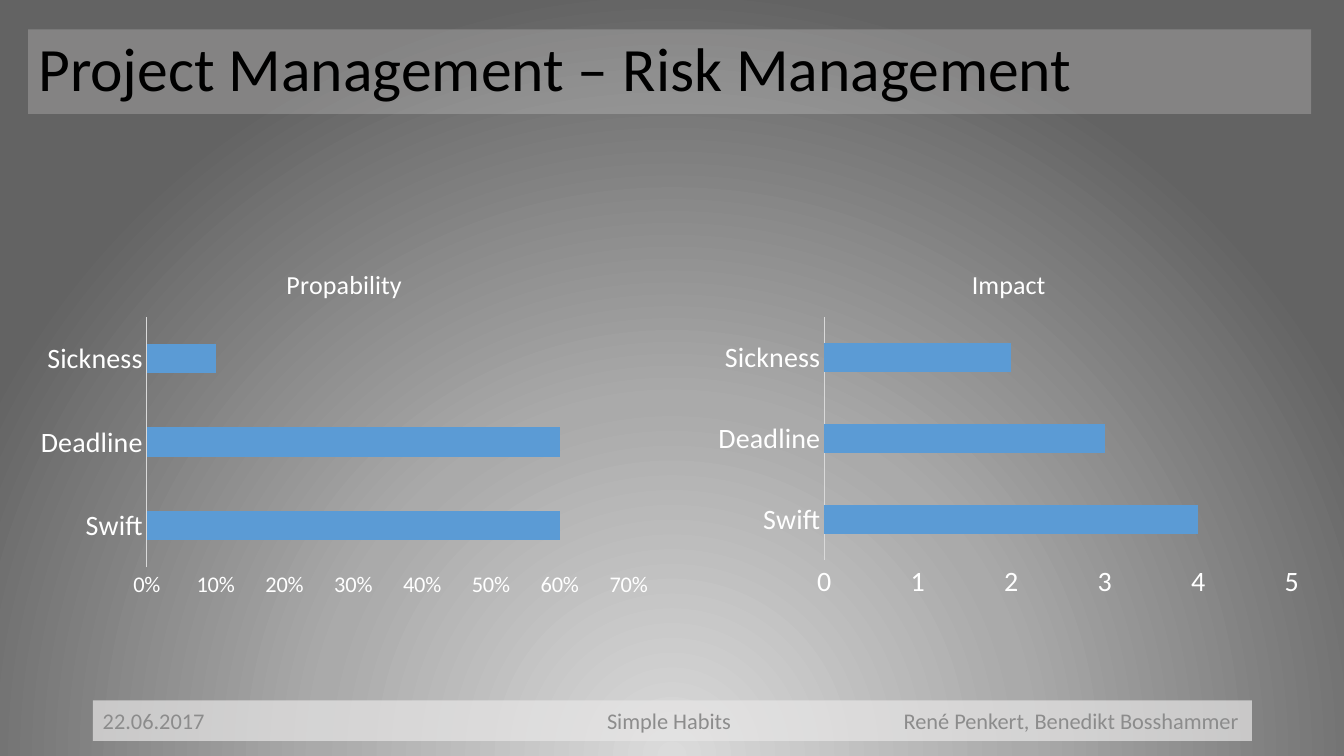
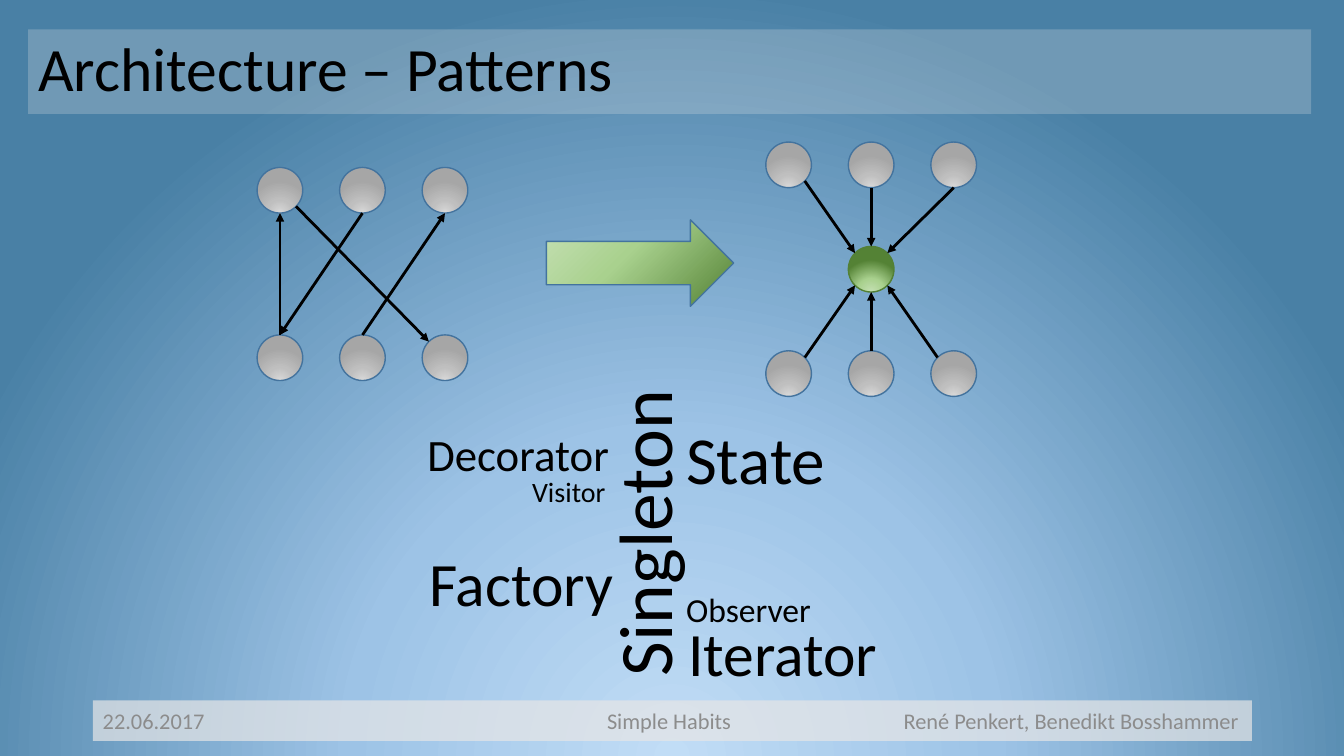
from dataclasses import dataclass
from math import cos, radians, sin

from lxml.etree import SubElement
from pptx import Presentation
from pptx.chart.data import CategoryChartData
from pptx.dml.color import RGBColor
from pptx.enum.chart import XL_CHART_TYPE as ChartType, XL_TICK_MARK as Tick
from pptx.enum.shapes import MSO_CONNECTOR as Connector, MSO_SHAPE as Shape
from pptx.enum.text import MSO_ANCHOR as Anchor, PP_ALIGN as Align
from pptx.oxml import parse_xml
from pptx.oxml.ns import nsdecls, qn
from pptx.util import Cm, Pt


@dataclass(frozen=True)
class Theme:
    font: str = "Calibri"
    ink: str = "000000"
    light: str = "FFFFFF"
    muted: str = "8C8C8C"
    band: str = "E7E6E6"
    bar: str = "5B9BD5"
    axis: str = "D9D9D9"
    outline: str = "43739E"
    hub_outline: str = "538035"
    grey_bg: tuple = ((0, "DBDBDB"), (46, "AAAAAA"), (100, "636363"))
    blue_bg: tuple = ((0, "C1DDF6"), (42, "9DC3E6"), (100, "4980A5"))
    node: tuple = ((0, "D9D9D9"), (42, "BFBFBF"), (100, "A6A6A6"))
    green: tuple = ((0, "C5E0B4"), (42, "A9D18E"), (100, "548235"))
    title_size: float = 44
    footer_size: float = 16
    chart_title_size: float = 18.6
    label_size: float = 20
    small_label_size: float = 16


@dataclass(frozen=True)
class Box:
    """A rectangle in centimetres."""
    x: float
    y: float
    w: float
    h: float

    def emu(self):
        return Cm(self.x), Cm(self.y), Cm(self.w), Cm(self.h)

    def inner(self, dx, dy, w, h):
        return Box(self.x + dx, self.y + dy, w, h)


THEME = Theme()
TITLE = Box(0.71, 0.74, 32.33, 2.13)
FOOTER = Box(2.34, 17.65, 29.21, 1.02)
NODE, PITCH = 1.15, 2.08


def rgb(color):
    return RGBColor.from_string(color)


def style_font(font, size, color):
    font.name, font.size = THEME.font, Pt(size)
    font.color.rgb = rgb(color)


def set_gradient(element, fill, stops, angle=None):
    """Fill linearly at an angle, or in circles from below when none is given."""
    fill.gradient()
    gs = "".join(f'<a:gs pos="{pos * 1000}"><a:srgbClr val="{color}"/></a:gs>'
                 for pos, color in stops)
    if angle is None:
        kind = ('<a:path path="circle"><a:fillToRect l="50000" t="130000" '
                'r="50000" b="-30000"/></a:path>')
    else:
        kind = f'<a:lin ang="{angle * 60000}" scaled="0"/>'
    old = next(element.iter(qn("a:gradFill")))
    old.getparent().replace(old, parse_xml(
        f'<a:gradFill {nsdecls("a")} rotWithShape="1"><a:gsLst>{gs}</a:gsLst>{kind}</a:gradFill>'))


def set_band(s, opacity):
    s.fill.solid()
    s.fill.fore_color.rgb = rgb(THEME.band)
    clr = next(s.element.spPr.iter(qn("a:srgbClr")))
    SubElement(clr, qn("a:alpha"), val=str(opacity * 1000))
    s.line.fill.background()


def add_footer(slide, layout, box):
    """Draw the footer band and move it to the layout, for all slides."""
    s = slide.shapes.add_shape(Shape.RECTANGLE, *box.emu())
    s.shadow.inherit = False
    set_band(s, 70)
    tf = s.text_frame
    tf.vertical_anchor = Anchor.MIDDLE
    p = tf.paragraphs[0]
    p.text = "22.06.2017\tSimple Habits\tRené Penkert, Benedikt Bosshammer"
    p.alignment = Align.LEFT
    tabs = SubElement(p._p.get_or_add_pPr(), qn("a:tabLst"))
    for pos, align in ((14.27, "ctr"), (28.63, "r")):
        SubElement(tabs, qn("a:tab"), pos=str(Cm(pos)), algn=align)
    style_font(p.runs[0].font, THEME.footer_size, THEME.muted)
    layout.shapes.element.append(s.element)


def add_slide(prs, layout, title, stops):
    slide = prs.slides.add_slide(layout)
    set_gradient(slide.element, slide.background.fill, stops)
    s = slide.shapes.title
    s.left, s.top, s.width, s.height = TITLE.emu()
    set_band(s, 25)
    tf = s.text_frame
    tf.text = title
    tf.vertical_anchor = Anchor.MIDDLE
    p = tf.paragraphs[0]
    p.alignment, p.line_spacing = Align.LEFT, 0.9
    style_font(p.runs[0].font, THEME.title_size, THEME.ink)
    return slide


def add_risk_chart(slide, box, title, series, values, number_format, top, step, size):
    data = CategoryChartData(number_format=number_format)
    data.categories = ["Swift", "Deadline", "Sickness"]
    data.add_series(series, values)
    chart = slide.shapes.add_chart(ChartType.BAR_CLUSTERED, *box.emu(), data).chart
    style_font(chart.font, 10, THEME.light)
    chart.has_legend = False
    chart.has_title = True
    tf = chart.chart_title.text_frame
    tf.text = title
    font = tf.paragraphs[0].runs[0].font
    style_font(font, THEME.chart_title_size, THEME.light)
    font.bold = False
    chart.chart_title.include_in_layout = False

    plot = chart.plots[0]
    plot.gap_width, plot.vary_by_categories = 182, False
    fill = plot.series[0].format.fill
    fill.solid()
    fill.fore_color.rgb = rgb(THEME.bar)

    cats, vals = chart.category_axis, chart.value_axis
    for axis, label_size in ((cats, THEME.label_size), (vals, size)):
        axis.has_major_gridlines = False
        axis.major_tick_mark = axis.minor_tick_mark = Tick.NONE
        style_font(axis.tick_labels.font, label_size, THEME.light)
    cats.format.line.color.rgb = rgb(THEME.axis)
    cats.format.line.width = Pt(0.75)
    vals.format.line.fill.background()
    vals.minimum_scale, vals.maximum_scale, vals.major_unit = 0, top, step
    vals.tick_labels.number_format = number_format
    vals.tick_labels.number_format_is_linked = False


def add_gradient_shape(slide, kind, box, stops, outline, angle=None):
    s = slide.shapes.add_shape(kind, *box.emu())
    s.shadow.inherit = False
    set_gradient(s.element.spPr, s.fill, stops, angle)
    s.line.color.rgb = rgb(outline)
    s.line.width = Pt(1)


def add_node(slide, box, stops=THEME.node, outline=THEME.outline):
    add_gradient_shape(slide, Shape.OVAL, box, stops, outline)
    return box


def add_node_rows(slide, box):
    """Place three nodes along the top and three along the bottom of the box."""
    return [[add_node(slide, box.inner(col * PITCH, dy, NODE, NODE)) for col in range(3)]
            for dy in (0, box.h - NODE)]


def rim(node, site):
    """Point on a node's edge; sites run anticlockwise from the top by 45°."""
    a, r = radians(45 * site), NODE / 2
    return Cm(node.x + r - r * sin(a)), Cm(node.y + r - r * cos(a))


def add_arrow(slide, start, start_site, end, end_site):
    c = slide.shapes.add_connector(Connector.STRAIGHT, *rim(start, start_site),
                                   *rim(end, end_site))
    c.line.color.rgb = rgb(THEME.ink)
    c.line.width = Pt(2)
    spPr = c.element.spPr
    SubElement(spPr.find(qn("a:ln")), qn("a:tailEnd"), type="triangle")
    SubElement(spPr, qn("a:effectLst"))


def add_tangled_nodes(slide, box):
    top, bottom = add_node_rows(slide, box)
    for link in ((top[0], 5, bottom[2], 1), (bottom[0], 0, top[0], 4),
                 (bottom[1], 0, top[2], 4), (top[1], 4, bottom[0], 0)):
        add_arrow(slide, *link)


def add_hub_nodes(slide, box):
    top, bottom = add_node_rows(slide, box)
    hub = add_node(slide, box.inner(PITCH, (box.h - NODE) / 2, NODE, NODE),
                   THEME.green, THEME.hub_outline)
    for nodes, sites in ((top, ((5, 1), (4, 0), (4, 7))),
                         (bottom, ((7, 3), (0, 4), (1, 5)))):
        for node, (site, hub_site) in zip(nodes, sites):
            add_arrow(slide, node, site, hub, hub_site)


def add_word_cloud(slide, box):
    words = (("Factory", 44, 0.07, 3.21, 6.25, 2.13, 0),
             ("Visitor", 20, 2.66, 1.44, 2.49, 1.12, 0),
             ("State", 48, 6.54, 0, 4.47, 2.31, 0),
             ("Decorator", 32, 0.02, 0.22, 5.31, 1.63, 0),
             ("Observer", 24, 6.54, 4.31, 3.91, 1.27, 0),
             ("Singleton", 54, 1.72, 1.61, 7.98, 2.57, 270),
             ("Iterator", 44, 6.59, 4.97, 5.44, 2.13, 0))
    for word, size, dx, dy, w, h, rotation in words:
        s = slide.shapes.add_textbox(*box.inner(dx, dy, w, h).emu())
        s.rotation = rotation
        tf = s.text_frame
        tf.word_wrap = True
        tf.text = word
        style_font(tf.paragraphs[0].runs[0].font, size, THEME.ink)


def build_risk_slide(prs, layout):
    slide = add_slide(prs, layout, "Project Management – Risk Management", THEME.grey_bg)
    add_risk_chart(slide, Box(0.71, 6.27, 15.93, 9), "Propability", "Propability",
                   (0.6, 0.6, 0.1), "0%", 0.7, 0.1, THEME.small_label_size)
    add_risk_chart(slide, Box(17.8, 6.27, 15.24, 9), "Impact", "Series 1",
                   (4, 3, 2), "#,##0", 5, 1, THEME.label_size)
    return slide


def build_patterns_slide(prs, layout):
    slide = add_slide(prs, layout, "Architecture – Patterns", THEME.blue_bg)
    add_tangled_nodes(slide, Box(6.48, 4.22, 5.31, 5.37))
    add_gradient_shape(slide, Shape.RIGHT_ARROW, Box(13.77, 5.54, 4.72, 2.18),
                       THEME.green, THEME.outline, 45)
    add_hub_nodes(slide, Box(19.3, 3.58, 5.31, 6.41))
    add_word_cloud(slide, Box(10.5, 10.4, 12.03, 7.1))


def main():
    prs = Presentation()
    prs.slide_width, prs.slide_height = Cm(33.87), Cm(19.05)
    layout = prs.slide_layouts[5]
    slide = build_risk_slide(prs, layout)
    add_footer(slide, layout, FOOTER)
    build_patterns_slide(prs, layout)
    prs.save("out.pptx")


if __name__ == "__main__":
    main()
